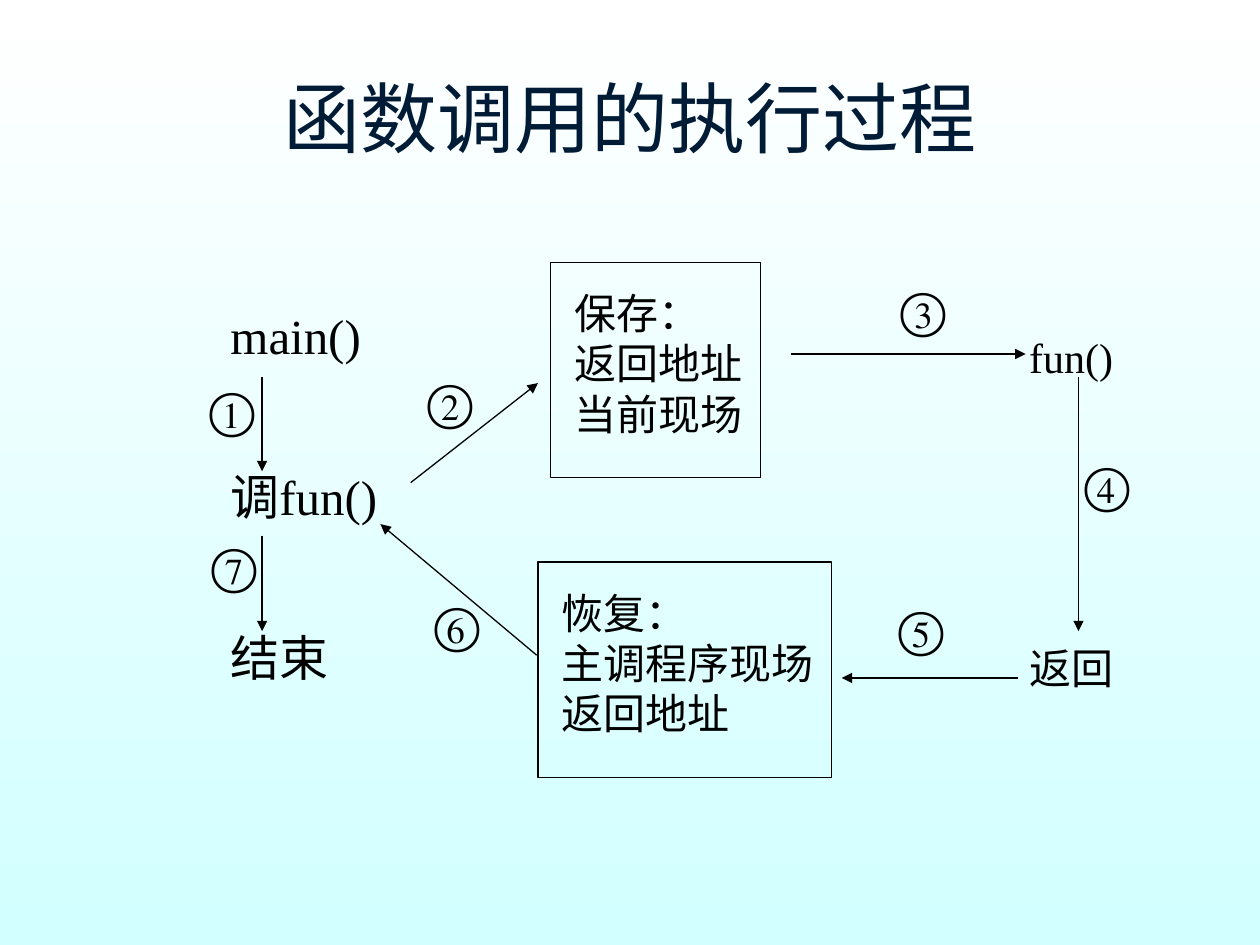
import dataclasses

import lxml.etree
import pptx
import pptx.dml.color
import pptx.enum.shapes
import pptx.enum.text
import pptx.oxml.ns
import pptx.util

Pt = pptx.util.Pt
Align = pptx.enum.text.PP_ALIGN
SERIF = "Times New Roman"
BLACK = "000000"


@dataclasses.dataclass
class Label:
    """Text with its frame; margins are left, top, right, bottom."""
    lines: list[str]
    left: float
    top: float
    width: float
    height: float
    size: float
    margins: tuple[float, float, float, float] = (0, 0, 0, 0)
    line_spacing: float = 1.0
    gap: float = 0
    boxed: bool = False
    font: str = SERIF
    color: str = BLACK
    alignment: Align = Align.JUSTIFY
    anchor: pptx.enum.text.MSO_ANCHOR = pptx.enum.text.MSO_ANCHOR.TOP


@dataclasses.dataclass
class Arrow:
    x1: float
    y1: float
    x2: float
    y2: float


def rgb(color: str) -> pptx.dml.color.RGBColor:
    return pptx.dml.color.RGBColor.from_string(color)


def draw_label(slide, label: Label) -> None:
    frame = [Pt(v) for v in (label.left, label.top, label.width, label.height)]
    if label.boxed:
        shape = slide.shapes.add_shape(
            pptx.enum.shapes.MSO_SHAPE.RECTANGLE, *frame)
        shape.shadow.inherit = False
        shape.fill.background()
        shape.line.color.rgb = rgb(BLACK)
        shape.line.width = Pt(0.74)
    else:
        shape = slide.shapes.add_textbox(*frame)
    text_frame = shape.text_frame
    text_frame.word_wrap = True
    text_frame.vertical_anchor = label.anchor
    (text_frame.margin_left, text_frame.margin_top,
     text_frame.margin_right, text_frame.margin_bottom) = map(Pt, label.margins)
    text_frame.text = "\n".join(label.lines)
    for index, paragraph in enumerate(text_frame.paragraphs):
        paragraph.alignment = label.alignment
        paragraph.line_spacing = label.line_spacing
        paragraph.space_before = Pt(label.gap if index else 0)
        for run in paragraph.runs:
            run.font.name = label.font
            run.font.size = Pt(label.size)
            run.font.color.rgb = rgb(label.color)


def draw_arrow(slide, arrow: Arrow) -> None:
    connector = slide.shapes.add_connector(
        pptx.enum.shapes.MSO_CONNECTOR.STRAIGHT,
        Pt(arrow.x1), Pt(arrow.y1), Pt(arrow.x2), Pt(arrow.y2))
    connector.line.color.rgb = rgb(BLACK)
    connector.line.width = Pt(0.74)
    qn = pptx.oxml.ns.qn
    properties = connector._element.spPr
    lxml.etree.SubElement(properties.find(qn("a:ln")), qn("a:tailEnd"),
                          type="triangle")
    lxml.etree.SubElement(properties, qn("a:effectLst"))


presentation = pptx.Presentation()
presentation.slide_width = Pt(720)
presentation.slide_height = Pt(540)
slide = presentation.slides.add_slide(presentation.slide_layouts[6])

# Background: white at the top to pale cyan at the bottom
background = slide.background.fill
background.gradient()
background.gradient_angle = 270
for stop, color in zip(background.gradient_stops, ("FFFFFF", "D2FFFF")):
    stop.color.rgb = rgb(color)

# Title, caller column and callee column
BOX_MARGINS = (13.7, 14.4, 0, 0)
labels = [
    Label(["函数调用的执行过程"], 36, 21.6, 648, 90, 44, font="Roboto",
          color="001B36", alignment=Align.CENTER,
          anchor=pptx.enum.text.MSO_ANCHOR.MIDDLE),
    Label(["main()", "调fun()", "结束"], 102.2, 157.7, 133.2, 257.8, 28,
          margins=(29.5, 3.6, 7.2, 3.6), line_spacing=1.4, gap=45),
    Label(["fun()", "返回"], 581, 168.5, 86.4, 257.8, 24,
          margins=(7.2, 3.6, 7.2, 3.6), line_spacing=1.6, gap=132),
    # Save and restore boxes
    Label(["保存：", "返回地址", "当前现场"], 314.6, 149.8, 120.2, 123.1, 24,
          margins=BOX_MARGINS, boxed=True),
    Label(["恢复：", "主调程序现场", "返回地址"], 307.4, 321.1, 167.8, 123.1, 24,
          margins=BOX_MARGINS, boxed=True),
]

# Step numbers in order
step_positions = [(119.5, 216.7), (244.1, 212.4), (514.8, 159.8),
                  (619.9, 259.9), (513.4, 342), (248.4, 339.8), (121, 306)]
labels += [Label([number], left, top, 29.5, 36.7, 28)
           for number, (left, top) in zip("①②③④⑤⑥⑦", step_positions)]

# Arrows in step order
arrows = [
    Arrow(149.8, 215.3, 149.8, 269.3),
    Arrow(234.7, 275.8, 307.4, 218.9),
    Arrow(452.2, 202.3, 586.1, 202.3),
    Arrow(616.3, 215.3, 616.3, 360.7),
    Arrow(581.8, 387.4, 481, 387.4),
    Arrow(306.7, 374.4, 217.4, 299.5),
    Arrow(149.8, 306, 149.8, 360.7),
]

for label in labels:
    draw_label(slide, label)
for arrow in arrows:
    draw_arrow(slide, arrow)

presentation.save("out.pptx")
